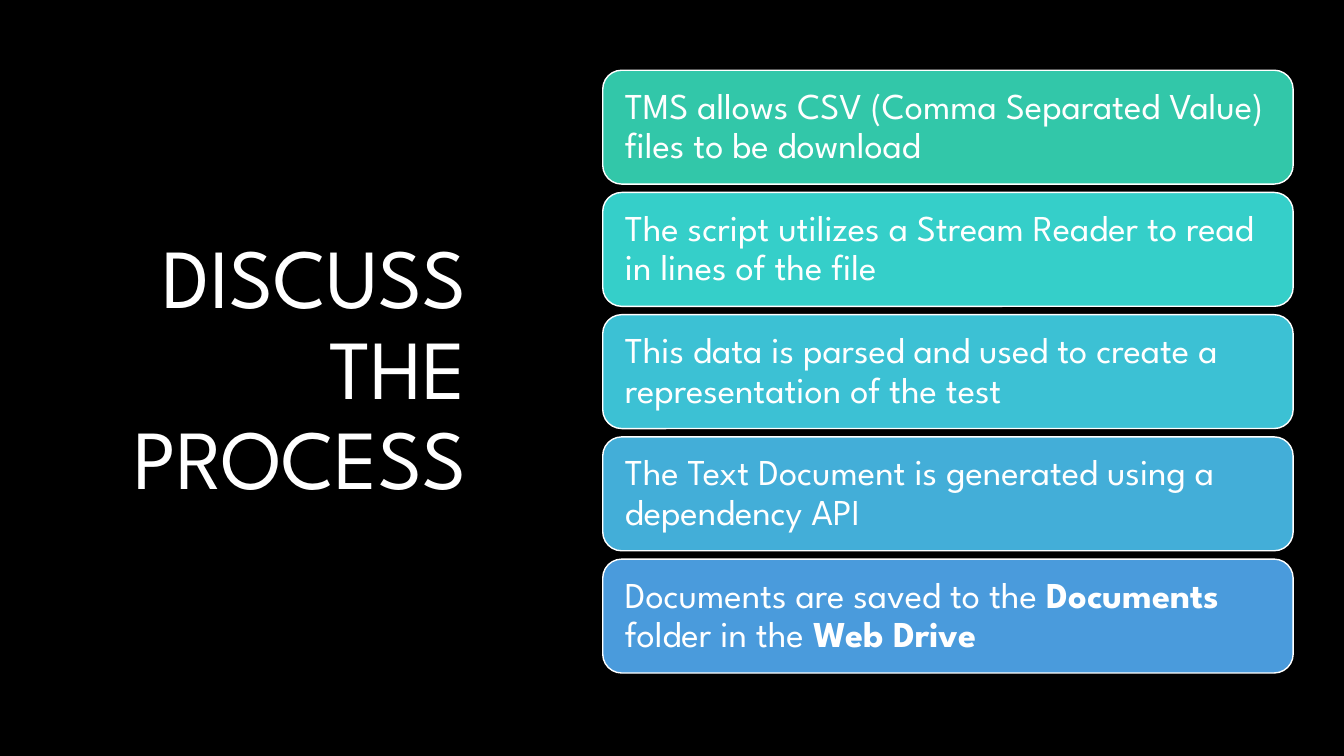
from pptx import Presentation
from pptx.dml.color import RGBColor
from pptx.enum.shapes import MSO_SHAPE
from pptx.enum.text import MSO_ANCHOR, MSO_AUTO_SIZE, PP_ALIGN
from pptx.util import Cm, Pt

ROUND = MSO_SHAPE.ROUNDED_RECTANGLE
MIDDLE = MSO_ANCHOR.MIDDLE
FIXED = MSO_AUTO_SIZE.NONE
LEFT, RIGHT = PP_ALIGN.LEFT, PP_ALIGN.RIGHT

STEPS = [
    ("32C7A9", ["TMS allows CSV (Comma Separated Value) files to be download"]),
    ("35CFC9", ["The script utilizes a Stream Reader to read in lines of the file"]),
    ("3CC1D4", ["This data is parsed and used to create a representation of the test"]),
    ("43AED8", ["The Text Document is generated using a dependency API"]),
    ("4A9BDC", ["Documents are saved to the ", "Documents", " folder in the ", "Web Drive"]),
]
TOP, PITCH = 1.77, 3.08


def color(code):
    return RGBColor.from_string(code)


class Deck:
    font = "League Spartan"
    ink = "FFFFFF"
    back = "000000"

    def __init__(self, show):
        self.slide = show.slides.add_slide(show.slide_layouts[5])
        fill = self.slide.background.fill
        fill.solid()
        fill.fore_color.rgb = color(self.back)

    def label(self, shape, parts, size, align):
        frame = shape.text_frame
        frame.word_wrap = True
        frame.auto_size = FIXED
        frame.vertical_anchor = MIDDLE
        para = frame.paragraphs[0]
        para.alignment = align
        para.line_spacing = 0.9
        for index, part in enumerate(parts):
            run = para.add_run()
            run.text = part
            run.font.name = self.font
            run.font.size = Pt(size)
            run.font.bold = index % 2 == 1
            run.font.color.rgb = color(self.ink)

    def title(self, text, left, top, width, height):
        shape = self.slide.shapes.title
        shape.left, shape.top = Cm(left), Cm(top)
        shape.width, shape.height = Cm(width), Cm(height)
        self.label(shape, [text], 60, RIGHT)

    def card(self, parts, fill, left, top, width, height):
        shape = self.slide.shapes.add_shape(
            ROUND, Cm(left), Cm(top), Cm(width), Cm(height))
        shape.shadow.inherit = False
        shape.fill.solid()
        shape.fill.fore_color.rgb = color(fill)
        shape.line.color.rgb = color(self.ink)
        shape.line.width = Pt(1)
        frame = shape.text_frame
        frame.margin_left = frame.margin_right = Cm(0.42)
        frame.margin_top = frame.margin_bottom = Cm(0.28)
        self.label(shape, parts, 26, LEFT)


def main():
    show = Presentation()
    show.slide_width, show.slide_height = Cm(33.87), Cm(19.05)
    deck = Deck(show)
    deck.title("DISCUSS THE PROCESS", 1.45, 1.73, 10.57, 15.29)
    for row, (fill, parts) in enumerate(STEPS):
        deck.card(parts, fill, 15.19, TOP + row * PITCH, 17.4, 2.87)
    show.save("out.pptx")


if __name__ == "__main__":
    main()
